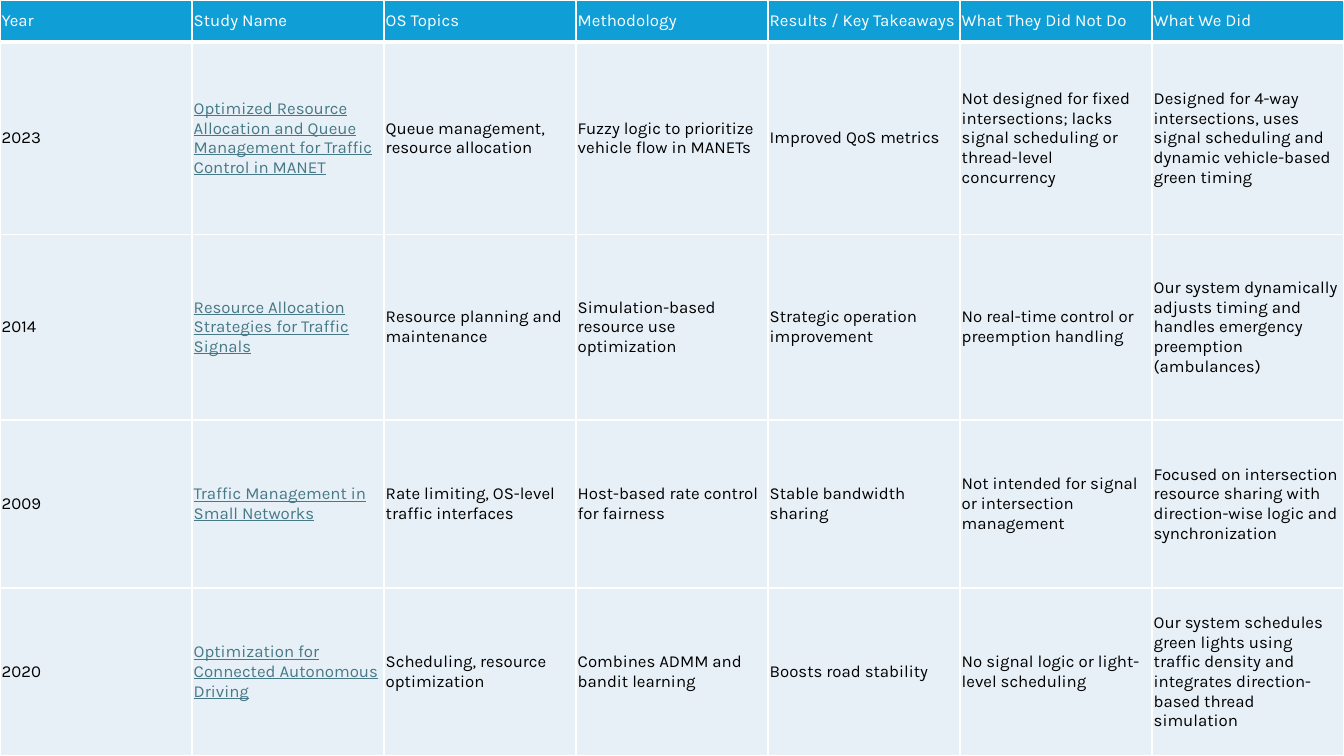
"""Build a slide with a full-page table comparing related traffic studies."""
from lxml.etree import SubElement
from pptx import Presentation
from pptx.dml.color import RGBColor
from pptx.enum.text import MSO_ANCHOR
from pptx.oxml.ns import qn
from pptx.util import Pt

WHITE = RGBColor(0xFF, 0xFF, 0xFF)
BLACK = RGBColor(0x00, 0x00, 0x00)
HEADER_BLUE = RGBColor(0x0F, 0x9E, 0xD5)
PALE_BLUE = RGBColor(0xE7, 0xF0, 0xF7)
LINK_TEAL = RGBColor(0x46, 0x78, 0x86)

WIDTH, HEIGHT = 960, 540
ROW_HEIGHTS = [30, 137.5, 132.5, 120, 120]
STUDY_COL = 1
CELL_FORMAT = {
    "vertical_anchor": MSO_ANCHOR.MIDDLE,
    "margin_left": Pt(1.25),
    "margin_right": Pt(1.25),
    "margin_top": Pt(0.75),
    "margin_bottom": Pt(0.75),
}

ROWS = [
    ["Year", "Study Name", "OS Topics", "Methodology",
     "Results / Key Takeaways", "What They Did Not Do", "What We Did"],
    ["2023",
     "Optimized Resource Allocation and Queue Management for Traffic Control in MANET",
     "Queue management, resource allocation",
     "Fuzzy logic to prioritize vehicle flow in MANETs",
     "Improved QoS metrics",
     "Not designed for fixed intersections; lacks signal scheduling or "
     "thread-level concurrency",
     "Designed for 4-way intersections, uses signal scheduling and "
     "dynamic vehicle-based green timing"],
    ["2014",
     "Resource Allocation Strategies for Traffic Signals",
     "Resource planning and maintenance",
     "Simulation-based resource use optimization",
     "Strategic operation improvement",
     "No real-time control or preemption handling",
     "Our system dynamically adjusts timing and handles emergency "
     "preemption (ambulances)"],
    ["2009",
     "Traffic Management in Small Networks",
     "Rate limiting, OS-level traffic interfaces",
     "Host-based rate control for fairness",
     "Stable bandwidth sharing",
     "Not intended for signal or intersection management",
     "Focused on intersection resource sharing with direction-wise logic "
     "and synchronization"],
    ["2020",
     "Optimization for Connected Autonomous Driving",
     "Scheduling, resource optimization",
     "Combines ADMM and bandit learning",
     "Boosts road stability",
     "No signal logic or light-level scheduling",
     "Our system schedules green lights using traffic density and "
     "integrates direction-based thread simulation"],
]


def add_borders(cell, widths):
    tc_pr = cell._tc.get_or_add_tcPr()
    for side, width in widths.items():
        ln = SubElement(tc_pr, qn(f"a:ln{side}"), w=str(Pt(width)))
        fill = SubElement(ln, qn("a:solidFill"))
        SubElement(fill, qn("a:srgbClr"), val=str(WHITE))


prs = Presentation()
prs.slide_width, prs.slide_height = Pt(WIDTH), Pt(HEIGHT)
s = prs.slides.add_slide(prs.slide_layouts[6])

n_cols = len(ROWS[0])
table = s.shapes.add_table(
    len(ROWS), n_cols, Pt(0), Pt(0), Pt(WIDTH), Pt(HEIGHT)).table
table.horz_banding = False
for col in table.columns:
    col.width = Pt(WIDTH / n_cols)

for i, (texts, height) in enumerate(zip(ROWS, ROW_HEIGHTS)):
    table.rows[i].height = Pt(height)
    is_header = i == 0
    borders = {"L": 1, "R": 1, "T": 1, "B": 3} if is_header else {"L": 1, "R": 1, "B": 1}
    for j, text in enumerate(texts):
        cell = table.cell(i, j)
        for name, value in CELL_FORMAT.items():
            setattr(cell, name, value)
        add_borders(cell, borders)
        cell.fill.solid()
        cell.fill.fore_color.rgb = HEADER_BLUE if is_header else PALE_BLUE

        is_study = j == STUDY_COL and not is_header
        r = cell.text_frame.paragraphs[0].add_run()
        r.text = text
        font_format = {"name": "Karla", "size": Pt(12), "bold": False, "underline": is_study}
        for name, value in font_format.items():
            setattr(r.font, name, value)
        r.font.color.rgb = WHITE if is_header else LINK_TEAL if is_study else BLACK

prs.save("out.pptx")
